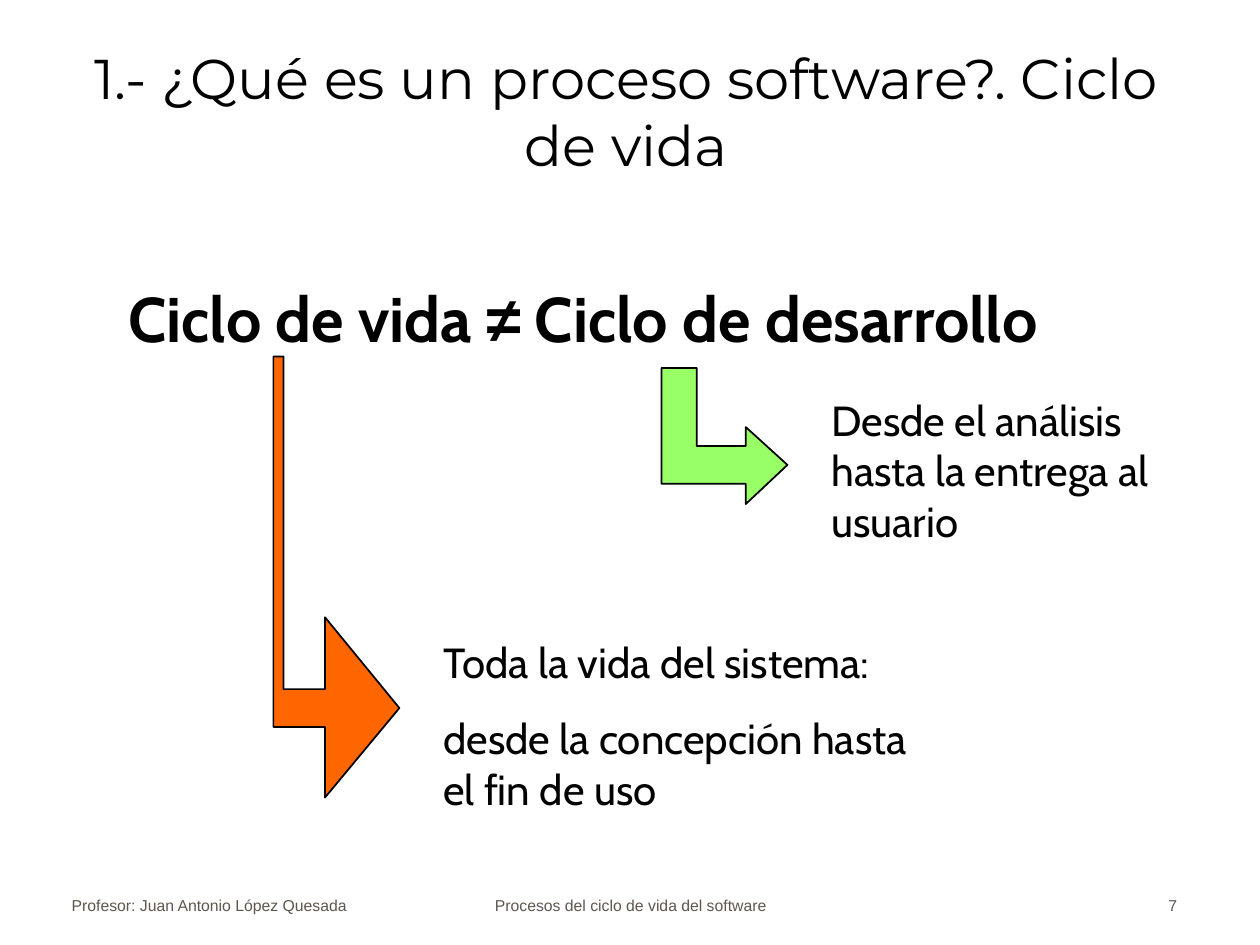
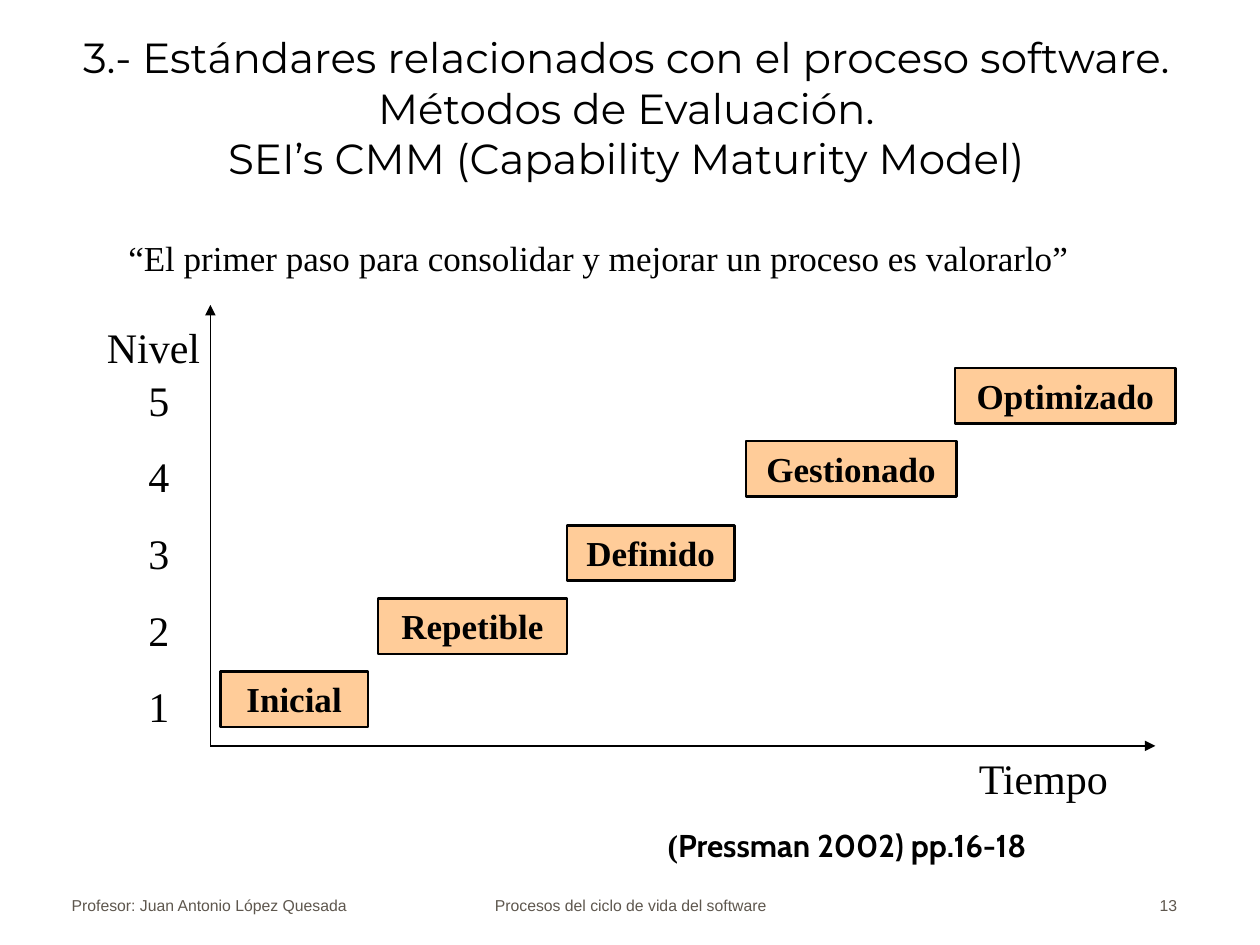
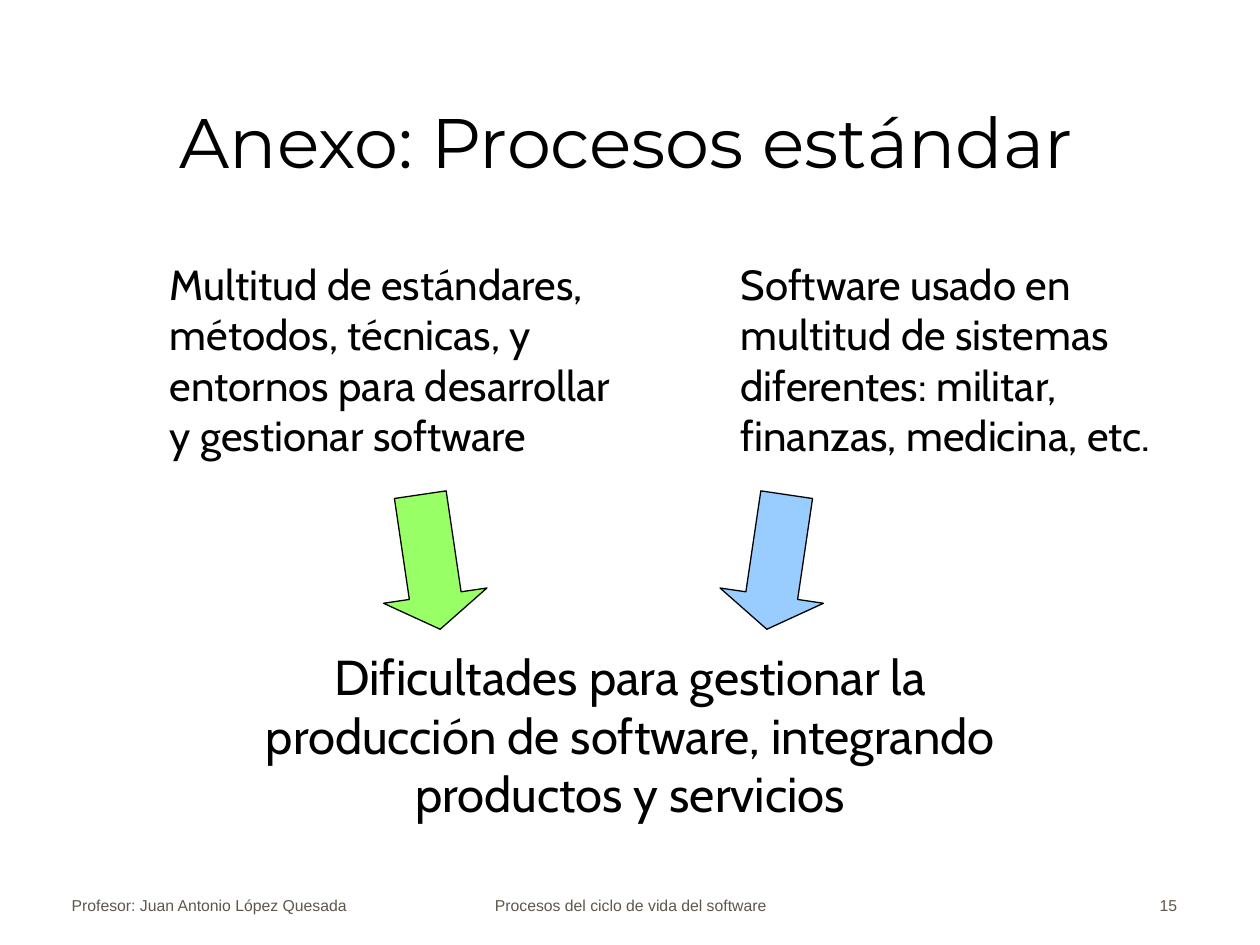
from dataclasses import dataclass

from lxml import etree
from pptx import Presentation
from pptx.dml.color import RGBColor
from pptx.enum.shapes import MSO_CONNECTOR, MSO_SHAPE
from pptx.enum.text import MSO_ANCHOR, PP_ALIGN
from pptx.oxml.ns import qn
from pptx.util import Inches, Pt

LEFT, CENTER, RIGHT = PP_ALIGN.LEFT, PP_ALIGN.CENTER, PP_ALIGN.RIGHT
TOP, MIDDLE, BOTTOM = MSO_ANCHOR.TOP, MSO_ANCHOR.MIDDLE, MSO_ANCHOR.BOTTOM
STRAIGHT = MSO_CONNECTOR.STRAIGHT
RECTANGLE, DOWN_ARROW = MSO_SHAPE.RECTANGLE, MSO_SHAPE.DOWN_ARROW

BLACK, FOOTER_GREY = "000000", "5E574E"
GREEN, ORANGE, BLUE, PEACH = "99FF66", "FF6600", "99CCFF", "FFCC99"
TITLE_FONT, BODY_FONT, SERIF, SANS = "Montserrat", "Cabin", "Times New Roman", "Arial"


@dataclass(frozen=True)
class Style:
    font: str = BODY_FONT
    size: float = 24
    bold: bool = False
    color: str = BLACK
    align: int = LEFT
    anchor: int = TOP
    gap: float = 0  # space before every paragraph but the first


@dataclass(frozen=True)
class Label:
    left: float
    top: float
    width: float
    height: float
    text: str
    style: Style = Style()


@dataclass(frozen=True)
class BentArrow:
    left: float
    top: float
    shaft_right: float
    arm_top: float
    arm_bottom: float
    neck: float
    head_top: float
    head_bottom: float
    tip: float
    color: str


@dataclass(frozen=True)
class Stage:
    name: str
    left: float
    top: float
    width: float


BODY = Style()
SERIF_BODY = Style(SERIF)
STAGE = Style(SERIF, 20, bold=True, align=CENTER)

CYCLE_ARROWS = (
    BentArrow(5.25, 2.92, 5.53, 3.54, 3.84, 5.92, 3.39, 4, 6.25, GREEN),
    BentArrow(2.17, 2.83, 2.25, 5.47, 5.77, 2.58, 4.9, 6.33, 3.17, ORANGE),
)
CYCLE_NOTES = (
    Label(6.5, 3.08, 2.75, 1.7, "Desde el análisis hasta la entrega al usuario"),
    Label(3.42, 5, 4.17, 1.51,
          "Toda la vida del sistema:\ndesde la concepción hasta el fin de uso",
          Style(gap=15)),
)
MATURITY_LABELS = (
    Label(7.67, 5.92, 1.33, 0.5, "Tiempo", SERIF_BODY),
    Label(0.75, 2.5, 1.17, 0.5, "Nivel", SERIF_BODY),
    Label(1.08, 2.92, 0.42, 2.94, "5\n4\n3\n2\n1", Style(SERIF, gap=15)),
    Label(0.92, 1.83, 7.83, 0.44,
          "“El primer paso para consolidar y mejorar un proceso es valorarlo”",
          Style(SERIF, 20)),
)
STAGES = (
    Stage("Inicial", 1.75, 5.33, 1.17),
    Stage("Repetible", 3, 4.75, 1.5),
    Stage("Definido", 4.5, 4.17, 1.33),
    Stage("Gestionado", 5.92, 3.5, 1.67),
    Stage("Optimizado", 7.58, 2.92, 1.75),
)
STAGE_HEIGHT = 0.44
AXIS_ORIGIN = (1.67, 5.92)
AXIS_ENDS = ((1.67, 2.42), (9.17, 5.92))
ANNEX_TEXTS = (
    Label(1.25, 2, 3.81, 2.71,
          "Multitud de estándares, métodos, técnicas, y entornos para "
          "desarrollar y gestionar software"),
    Label(5.78, 2, 3.89, 2.31,
          "Software usado en multitud de sistemas diferentes: militar, "
          "finanzas, medicina, etc."),
    Label(1.96, 5.08, 6.08, 2.68,
          "Dificultades para gestionar la producción de software, "
          "integrando productos y servicios", Style(size=28, align=CENTER)),
)
ANNEX_ARROWS = ((3, -8.4, GREEN), (5.75, 8.4, BLUE))


def rgb(color: str) -> RGBColor:
    return RGBColor.from_string(color)


def set_font(target, style: Style) -> None:
    target.font.name = style.font
    target.font.size = Pt(style.size)
    target.font.bold = style.bold
    target.font.color.rgb = rgb(style.color)


def write(frame, text: str, style: Style) -> None:
    frame.word_wrap = True
    frame.vertical_anchor = style.anchor
    for index, line in enumerate(text.split("\n")):
        para = frame.add_paragraph() if index else frame.paragraphs[0]
        para.text = line
        para.alignment = style.align
        if index:
            para.space_before = Pt(style.gap)
        set_font(para, style)


def add_label(page, label: Label):
    box = page.shapes.add_textbox(Inches(label.left), Inches(label.top),
                                  Inches(label.width), Inches(label.height))
    write(box.text_frame, label.text, label.style)
    return box


def add_mixed_label(page, label: Label, spans: tuple) -> None:
    """Draw a one-line label whose spans differ only in font."""
    para = add_label(page, label).text_frame.paragraphs[0]
    for text, font in spans:
        span = para.add_run()
        span.text = text
        span.font.name = font


def paint(shape, fill: str, line_width: float) -> None:
    shape.shadow.inherit = False
    shape.fill.solid()
    shape.fill.fore_color.rgb = rgb(fill)
    shape.line.color.rgb = rgb(BLACK)
    shape.line.width = Pt(line_width)


def add_bent_arrow(page, arrow: BentArrow) -> None:
    middle = (arrow.arm_top + arrow.arm_bottom) / 2
    outline = [
        (arrow.left, arrow.top), (arrow.shaft_right, arrow.top),
        (arrow.shaft_right, arrow.arm_top), (arrow.neck, arrow.arm_top),
        (arrow.neck, arrow.head_top), (arrow.tip, middle),
        (arrow.neck, arrow.head_bottom), (arrow.neck, arrow.arm_bottom),
        (arrow.left, arrow.arm_bottom),
    ]
    points = [(Inches(x), Inches(y)) for x, y in outline]
    builder = page.shapes.build_freeform(*points[0])
    builder.add_line_segments(points[1:], close=True)
    paint(builder.convert_to_shape(), arrow.color, 1)


def add_axis(page, start: tuple, end: tuple) -> None:
    axis = page.shapes.add_connector(STRAIGHT, *map(Inches, start + end))
    axis.line.color.rgb = rgb(BLACK)
    axis.line.width = Pt(0.75)
    etree.SubElement(axis.line._get_or_add_ln(), qn("a:tailEnd"), type="triangle")
    etree.SubElement(axis._element.spPr, qn("a:effectLst"))


def add_page(deck, number: int, title: str, size: float, anchor: int = BOTTOM):
    """Add a blank page with its title and footer."""
    page = deck.slides.add_slide(deck.slide_layouts[6])
    title_style = Style(TITLE_FONT, size, align=CENTER, anchor=anchor)
    add_label(page, Label(0.44, 0.25, 9.06, 1.25, title, title_style))
    for left, width, text, align in (
        (3.42, 3.17, "Procesos del ciclo de vida del software", CENTER),
        (7.36, 2.08, str(number), RIGHT),
        (0.47, 2.72, "Profesor: Juan Antonio López Quesada", LEFT),
    ):
        style = Style(SANS, 9, color=FOOTER_GREY, align=align, anchor=BOTTOM)
        add_label(page, Label(left, 6.81, width, 0.5, text, style))
    return page


def build_life_cycle(deck) -> None:
    page = add_page(deck, 7, "1.- ¿Qué es un proceso software?. Ciclo de vida", 32, MIDDLE)
    add_mixed_label(
        page, Label(0.92, 2.17, 8.67, 0.7, "", Style(size=36, bold=True)),
        (("Ciclo de vida ", BODY_FONT), ("≠", SANS), (" Ciclo de desarrollo", BODY_FONT)))
    for arrow in CYCLE_ARROWS:
        add_bent_arrow(page, arrow)
    for note in CYCLE_NOTES:
        add_label(page, note)


def build_maturity_model(deck) -> None:
    page = add_page(
        deck, 13,
        "3.- Estándares relacionados con el proceso software. Métodos de Evaluación.\v"
        "SEI’s CMM (Capability Maturity Model)", 24)
    for label in MATURITY_LABELS:
        add_label(page, label)
    for end in AXIS_ENDS:
        add_axis(page, AXIS_ORIGIN, end)
    # Staircase of maturity levels
    for stage in STAGES:
        step = page.shapes.add_shape(RECTANGLE, Inches(stage.left), Inches(stage.top),
                                     Inches(stage.width), Inches(STAGE_HEIGHT))
        paint(step, PEACH, 1.5)
        write(step.text_frame, stage.name, STAGE)
    add_mixed_label(
        page, Label(5.2, 6.51, 4.92, 0.4, "", Style(size=18, bold=True)),
        (("(", SERIF), ("Pressman 2002) pp.16-18", BODY_FONT)))


def build_annex(deck) -> None:
    page = add_page(deck, 15, "Anexo: Procesos estándar", 40)
    for label in ANNEX_TEXTS:
        add_label(page, label)
    # Arrows leaning towards the conclusion
    for left, angle, color in ANNEX_ARROWS:
        arrow = page.shapes.add_shape(DOWN_ARROW, Inches(left), Inches(3.92),
                                      Inches(0.83), Inches(1.08))
        arrow.adjustments[0] = 0.5
        arrow.adjustments[1] = 0.325
        arrow.rotation = angle
        paint(arrow, color, 0.75)


def main() -> None:
    deck = Presentation()
    deck.slide_width, deck.slide_height = Inches(10), Inches(7.5)
    build_life_cycle(deck)
    build_maturity_model(deck)
    build_annex(deck)
    deck.save("out.pptx")


if __name__ == "__main__":
    main()
